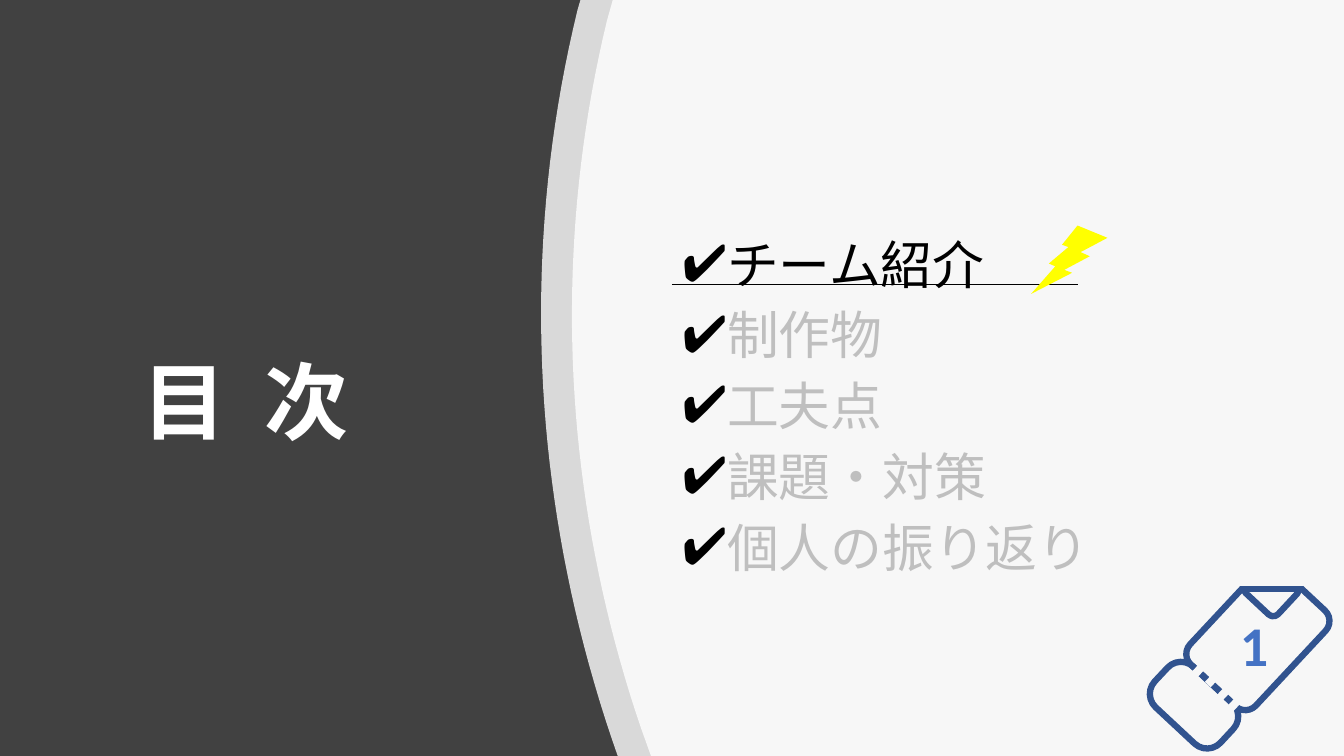
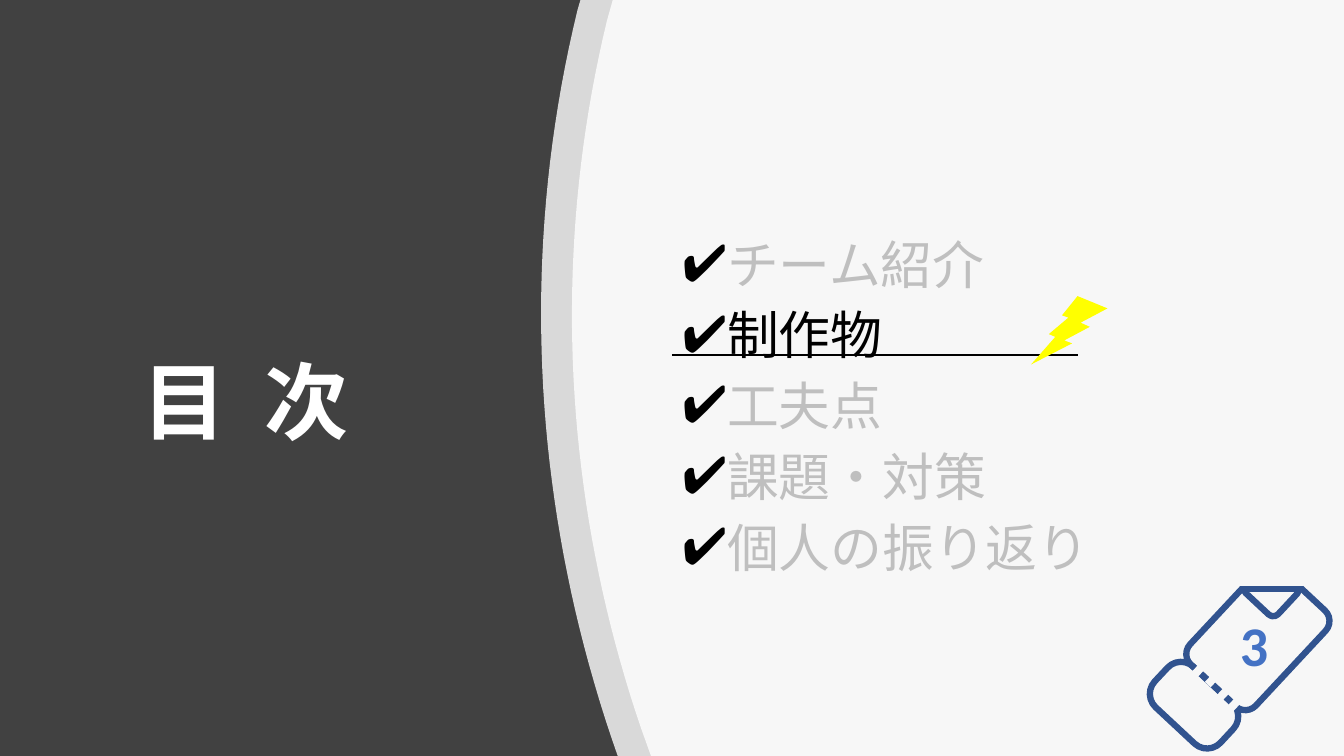
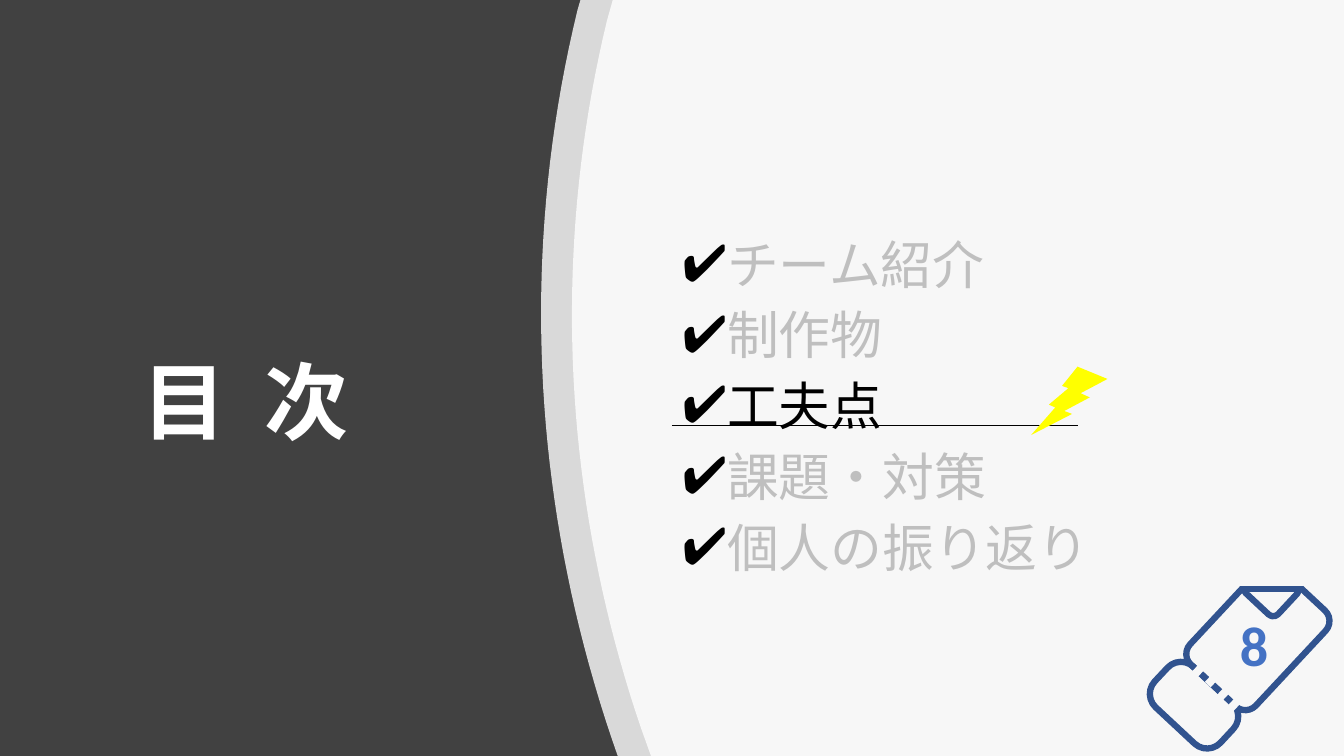
import dataclasses
import typing

import lxml.etree
import pptx
import pptx.dml.color
import pptx.enum.shapes
import pptx.enum.text
import pptx.oxml.ns
import pptx.shapes.base
import pptx.slide
import pptx.util

SHAPE = pptx.enum.shapes.MSO_SHAPE
ALIGN = pptx.enum.text.PP_ALIGN
Point = tuple[float, float]


@dataclasses.dataclass(frozen=True)
class Theme:
    background: str = "414141"
    panel: str = "FFFFFF"
    panel_opacity: int = 80
    paper: str = "F7F7F7"
    title: str = "FFFFFF"
    active: str = "000000"
    muted: str = "BFBFBF"
    ticket: str = "31538F"
    number: str = "4472C4"
    bolt: str = "FFFF00"
    latin_font: str = "Calibri"
    japanese_font: str = "Noto Sans CJK JP"
    title_size: int = 60
    item_size: int = 37
    number_size: int = 40
    ticket_line: float = 4.5
    underline: float = 1


@dataclasses.dataclass(frozen=True)
class Box:
    """A place on the grid, in columns and rows."""
    column: float
    row: float
    columns: float
    rows: float


@dataclasses.dataclass(frozen=True)
class Panel:
    """Everything right of a curved edge that runs from bottom to top."""
    bottom_column: float
    curve: tuple[Point, Point, Point, Point]
    top_column: float


@dataclasses.dataclass(frozen=True)
class TicketPart:
    box: Box
    corner: float


@dataclasses.dataclass(frozen=True)
class Agenda:
    active_item: int
    page_number: int


THEME = Theme()
SLIDE_WIDTH = pptx.util.Inches(13.33)
SLIDE_HEIGHT = pptx.util.Inches(7.5)
COLUMNS, ROWS = 32, 18

ITEMS = ["チーム紹介", "制作物", "工夫点", "課題・対策", "個人の振り返り"]
AGENDAS = [Agenda(0, 1), Agenda(1, 3), Agenda(2, 8)]

TITLE_BOX = Box(3.15, 3.93, 6.1, 11.5)
LIST_BOX = Box(16, 3.67, 14.45, 11.74)
NUMBER_BOX = Box(28.9, 14.42, 1.92, 1.85)

PANELS = [
    Panel(14.71, ((14.69, 17.95), (12.72, 12.34), (12.29, 6.24), (13.75, 0.24)), 13.82),
    Panel(15.5, ((15.26, 17.33), (13.44, 11.98), (13.08, 6.19), (14.45, 0.5)), 14.59),
]
CURVE_STEPS = 40

TICKET_ANGLE = 313
TICKET_PARTS = [
    TicketPart(Box(27.77, 15.72, 1.32, 2.14), 0.33),
    TicketPart(Box(28.39, 14.11, 3.12, 2.14), 0.16),
    TicketPart(Box(29.78, 13.49, 0.98, 1.06), 0.16),
]
TICKET_EDGE = ((29.57, 14.02), (31.01, 14.02))
TICKET_MASK = Box(29.52, 13.18, 1.73, 0.77)
PERFORATIONS = [(28.32, 15.84), (28.68, 16.03), (28.94, 16.37), (29.21, 16.61)]

FIRST_UNDERLINE, ITEM_PITCH = 6.77, 1.68
UNDERLINE_START, UNDERLINE_END = 16, 25.67


def across(columns: float) -> int:
    return round(SLIDE_WIDTH * columns / COLUMNS)


def down(rows: float) -> int:
    return round(SLIDE_HEIGHT * rows / ROWS)


def frame(box: Box) -> tuple[int, int, int, int]:
    return across(box.column), down(box.row), across(box.columns), down(box.rows)


def color(value: str) -> pptx.dml.color.RGBColor:
    return pptx.dml.color.RGBColor.from_string(value)


def add_child(parent: typing.Any, tag: str, **attributes: str) -> typing.Any:
    child = lxml.etree.SubElement(parent, pptx.oxml.ns.qn(tag))
    for name, value in attributes.items():
        child.set(name, value)
    return child


def place(shape: pptx.shapes.base.BaseShape, box: Box) -> None:
    shape.left, shape.top, shape.width, shape.height = frame(box)


def style_text(para: typing.Any, size: float, shade: str, font: str, bold: bool = False) -> None:
    for span in para.runs:
        span.font.size = pptx.util.Pt(size)
        span.font.bold = bold
        span.font.color.rgb = color(shade)
        span.font.name = font
        add_child(span.font._element, "a:ea", typeface=THEME.japanese_font)


def add_filled(shapes: typing.Any, kind: SHAPE, box: Box, shade: str, angle: float = 0) -> typing.Any:
    shape = shapes.add_shape(kind, *frame(box))
    shape.shadow.inherit = False
    shape.fill.solid()
    shape.fill.fore_color.rgb = color(shade)
    shape.line.fill.background()
    shape.rotation = angle
    return shape


def add_line(shapes: typing.Any, start: Point, end: Point, shade: str, width: float) -> None:
    line = shapes.add_connector(
        pptx.enum.shapes.MSO_CONNECTOR.STRAIGHT,
        across(start[0]), down(start[1]), across(end[0]), down(end[1]),
    )
    line.line.color.rgb = color(shade)
    line.line.width = pptx.util.Pt(width)
    add_child(line.element.spPr, "a:effectLst")


def curve_points(curve: tuple[Point, Point, Point, Point]) -> list[Point]:
    """Points along a cubic Bezier curve."""
    points = []
    for step in range(CURVE_STEPS + 1):
        t = step / CURVE_STEPS
        weights = ((1 - t) ** 3, 3 * t * (1 - t) ** 2, 3 * t ** 2 * (1 - t), t ** 3)
        points.append((
            sum(weight * point[0] for weight, point in zip(weights, curve)),
            sum(weight * point[1] for weight, point in zip(weights, curve)),
        ))
    return points


def add_panel(page: pptx.slide.Slide, panel: Panel) -> typing.Any:
    outline = [(COLUMNS, 0), (COLUMNS, ROWS), (panel.bottom_column, ROWS), *curve_points(panel.curve)]
    builder = page.shapes.build_freeform(across(panel.top_column), 0)
    builder.add_line_segments([(across(x), down(y)) for x, y in outline], close=True)
    shape = builder.convert_to_shape()
    shape.shadow.inherit = False
    shape.line.fill.background()
    shape.fill.solid()
    shape.fill.fore_color.rgb = color(THEME.panel)
    fill_color = shape.element.spPr.find(".//" + pptx.oxml.ns.qn("a:srgbClr"))
    add_child(fill_color, "a:alpha", val=str(THEME.panel_opacity * 1000))
    return shape


def fill_title(page: pptx.slide.Slide) -> None:
    title = page.shapes.title
    place(title, TITLE_BOX)
    title.text_frame.text = "目 次"
    title.text_frame.vertical_anchor = pptx.enum.text.MSO_ANCHOR.MIDDLE
    title.text_frame.auto_size = pptx.enum.text.MSO_AUTO_SIZE.NONE
    para = title.text_frame.paragraphs[0]
    para.alignment = ALIGN.LEFT
    para.line_spacing = 0.9
    style_text(para, THEME.title_size, THEME.title, THEME.latin_font, bold=True)
    # Letter spacing widens the gap between the two characters
    para.runs[0].font._element.set("spc", "680")


def fill_list(page: pptx.slide.Slide, active_item: int) -> typing.Any:
    body = page.placeholders[1]
    place(body, LIST_BOX)
    text_frame = body.text_frame
    text_frame.text = "\n".join(ITEMS)
    text_frame.vertical_anchor = pptx.enum.text.MSO_ANCHOR.MIDDLE
    text_frame.auto_size = pptx.enum.text.MSO_AUTO_SIZE.NONE
    for index, para in enumerate(text_frame.paragraphs):
        para.line_spacing = 1.14
        para.space_before = pptx.util.Pt(0)
        shade = THEME.active if index == active_item else THEME.muted
        style_text(para, THEME.item_size, shade, THEME.japanese_font)
        # Check mark bullet with a hanging indent
        properties = para._p.get_or_add_pPr()
        properties.set("marL", str(pptx.util.Inches(0.25)))
        properties.set("indent", str(pptx.util.Inches(-0.26)))
        bullet_color = add_child(properties, "a:buClr")
        add_child(bullet_color, "a:srgbClr", val=THEME.active)
        add_child(properties, "a:buChar", char="✔")
    return body


def add_ticket(page: pptx.slide.Slide, page_number: int) -> None:
    shapes = page.shapes.add_group_shape().shapes
    # Outline
    for part in TICKET_PARTS:
        shape = shapes.add_shape(SHAPE.ROUNDED_RECTANGLE, *frame(part.box))
        shape.adjustments[0] = part.corner
        shape.rotation = TICKET_ANGLE
        shape.shadow.inherit = False
        shape.fill.background()
        shape.line.color.rgb = color(THEME.ticket)
        shape.line.width = pptx.util.Pt(THEME.ticket_line)
    add_line(shapes, *TICKET_EDGE, THEME.ticket, THEME.ticket_line)
    # Cut corner and perforations
    add_filled(shapes, SHAPE.RECTANGLE, TICKET_MASK, THEME.paper)
    for column, row in PERFORATIONS:
        add_filled(shapes, SHAPE.RECTANGLE, Box(column, row, 0.48, 0.19), THEME.paper, TICKET_ANGLE)
    # Page number
    box = page.shapes.add_textbox(*frame(NUMBER_BOX))
    box.text_frame.word_wrap = True
    box.text_frame.text = str(page_number)
    para = box.text_frame.paragraphs[0]
    para.alignment = ALIGN.CENTER
    style_text(para, THEME.number_size, THEME.number, THEME.latin_font, bold=True)


def mark_item(page: pptx.slide.Slide, active_item: int) -> None:
    row = FIRST_UNDERLINE + active_item * ITEM_PITCH
    add_line(page.shapes, (UNDERLINE_START, row), (UNDERLINE_END, row), THEME.active, THEME.underline)
    bolt_box = Box(24.55, row - 1.4, 1.82, 1.63)
    bolt = add_filled(page.shapes, SHAPE.LIGHTNING_BOLT, bolt_box, THEME.bolt)
    bolt.element.spPr.find(pptx.oxml.ns.qn("a:xfrm")).set("flipH", "1")


def add_agenda(deck: typing.Any, agenda: Agenda) -> None:
    page = deck.slides.add_slide(deck.slide_layouts[1])
    fill_title(page)
    body = fill_list(page, agenda.active_item)
    # Panels lie behind the list
    for panel in PANELS:
        body.element.addprevious(add_panel(page, panel).element)
    add_ticket(page, agenda.page_number)
    mark_item(page, agenda.active_item)


def main() -> None:
    deck = pptx.Presentation()
    deck.slide_width, deck.slide_height = SLIDE_WIDTH, SLIDE_HEIGHT
    background = deck.slide_master.background.fill
    background.solid()
    background.fore_color.rgb = color(THEME.background)
    for agenda in AGENDAS:
        add_agenda(deck, agenda)
    deck.save("out.pptx")


if __name__ == "__main__":
    main()
